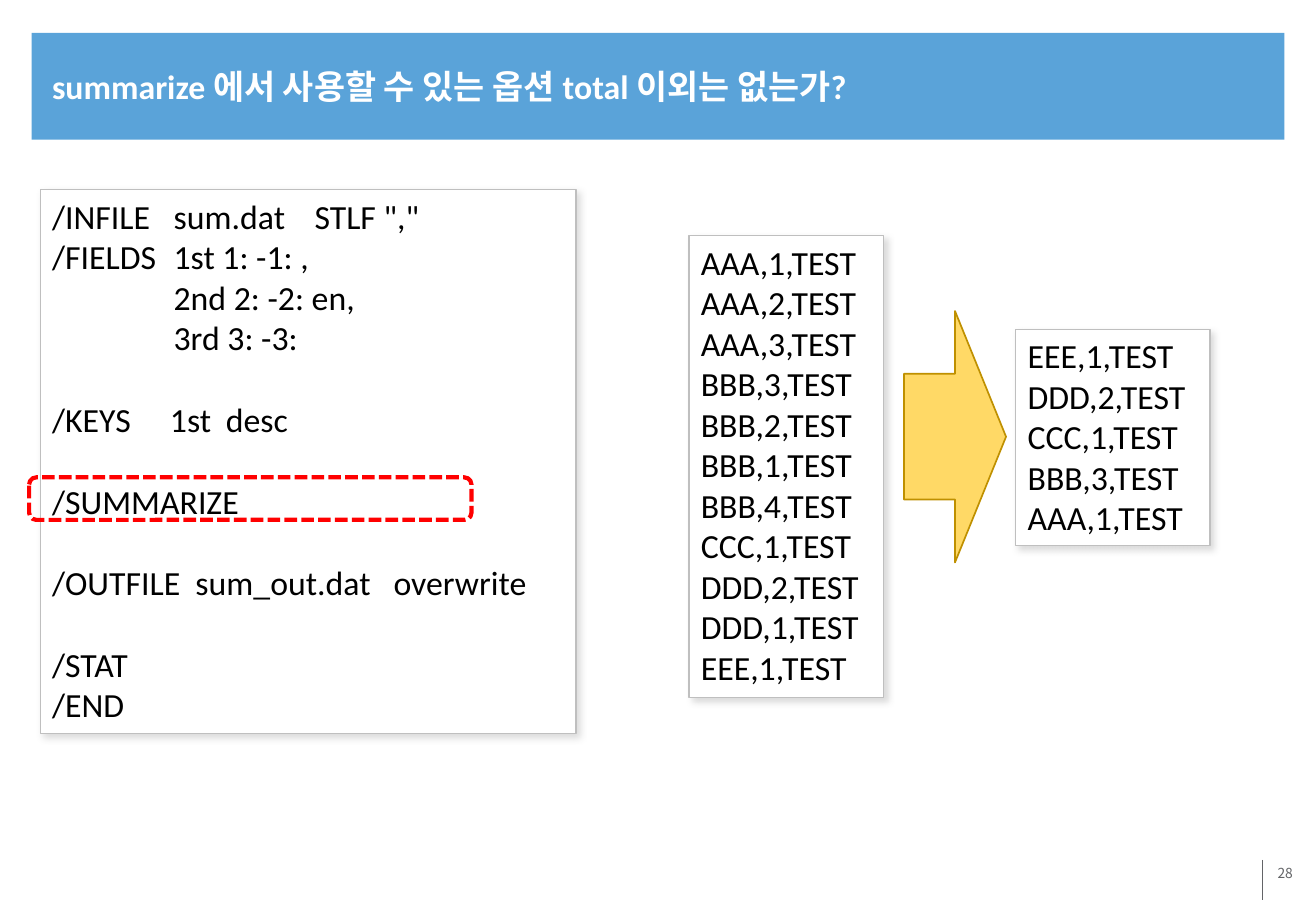
from lxml import etree
from pptx import Presentation
from pptx import util as u
from pptx.dml.color import RGBColor
from pptx.enum import dml, shapes, text
from pptx.oxml.ns import qn

WHITE = RGBColor(0xFF, 0xFF, 0xFF)
BLACK = RGBColor(0, 0, 0)
BLUE = RGBColor(0x5A, 0xA3, 0xD9)
GRAY = RGBColor(0x63, 0x64, 0x67)
EDGE = RGBColor(0xBF, 0xBF, 0xBF)
RED = RGBColor(0xFF, 0, 0)
GOLD = RGBColor(0xFF, 0xD9, 0x66)
OCHRE = RGBColor(0xBF, 0x90, 0)
LATIN = "Calibri"
HANGUL = "Noto Sans CJK KR"
KIND = shapes.MSO_SHAPE
ROW = 24.4

CODE = [
    (0, '/INFILE\tsum.dat\tSTLF ","', (1, 2.16)),
    (0, "/FIELDS\t1st 1: -1: ,", (1,)),
    (0, "\t2nd 2: -2: en,", (1,)),
    (0, "\t3rd 3: -3:", (1,)),
    (1, "/KEYS\t1st\tdesc", (0.97, 1.43)),
    (1, "/SUMMARIZE", ()),
    (1, "/OUTFILE\tsum_out.dat\toverwrite", (1.18, 2.81)),
    (1, "/STAT", ()),
    (0, "/END", ()),
]
INPUT = ["AAA,1", "AAA,2", "AAA,3", "BBB,3", "BBB,2", "BBB,1",
         "BBB,4", "CCC,1", "DDD,2", "DDD,1", "EEE,1"]
RESULT = ["EEE,1", "DDD,2", "CCC,1", "BBB,3", "AAA,1"]


def part(box, left, top, width, height):
    x, y, w, h = box
    return (int(x + w * left / 100), int(y + h * top / 100),
            int(w * width / 100), int(h * height / 100))


def write(para, words, size=20, color=BLACK, bold=False, name=LATIN):
    run = para.add_run()
    run.text = words
    font = run.font
    font.size, font.bold, font.name = u.Pt(size), bold, name
    font.color.rgb = color
    etree.SubElement(run._r.get_or_add_rPr(), qn("a:ea"), typeface=HANGUL)


def draw(slide, kind, box, fill=None, line=None, width=0.75):
    item = slide.shapes.add_shape(kind, *box)
    item.shadow.inherit = False
    if fill is None:
        item.fill.background()
    else:
        item.fill.solid()
        item.fill.fore_color.rgb = fill
    if line is None:
        item.line.fill.background()
    else:
        item.line.color.rgb = line
        item.line.width = u.Pt(width)
    return item


def shade(item):
    effects = item._element.spPr.find(qn("a:effectLst"))
    outer = etree.SubElement(effects, qn("a:outerShdw"), blurRad=str(u.Pt(4)),
                             dist=str(u.Pt(3)), dir="2700000", algn="tl", rotWithShape="0")
    color = etree.SubElement(outer, qn("a:srgbClr"), val="A6A6A6")
    etree.SubElement(color, qn("a:alpha"), val="40000")


def panel(slide, box, lines):
    item = draw(slide, KIND.RECTANGLE, box, WHITE, EDGE)
    shade(item)
    frame = item.text_frame
    frame.word_wrap = True
    frame.vertical_anchor = text.MSO_ANCHOR.TOP
    for i, (gap, words, stops) in enumerate(lines):
        para = frame.add_paragraph() if i else frame.paragraphs[0]
        para.alignment = text.PP_ALIGN.LEFT
        para.space_before = u.Pt(gap * ROW)
        if stops:
            tabs = etree.SubElement(para._p.get_or_add_pPr(), qn("a:tabLst"))
            for stop in stops:
                etree.SubElement(tabs, qn("a:tab"), pos=str(u.Inches(stop)), algn="l")
        write(para, words)


def header(slide, box):
    draw(slide, KIND.RECTANGLE, box, BLUE)
    title = slide.shapes.add_textbox(*part(box, 0.68, 5.06, 98.93, 89.77))
    frame = title.text_frame
    frame.word_wrap = True
    frame.vertical_anchor = text.MSO_ANCHOR.MIDDLE
    write(frame.paragraphs[0], "summarize 에서 사용할 수 있는 옵션 total 이외는 없는가?",
          color=WHITE, bold=True)


def script(slide, box):
    panel(slide, box, CODE)
    mark = draw(slide, KIND.ROUNDED_RECTANGLE, part(box, -2.04, 52.9, 82.54, 7.81),
                line=RED, width=2.5)
    mark.line.dash_style = dml.MSO_LINE.SQUARE_DOT


def flow(slide, box):
    for data, spot in ((INPUT, (0, 0, 37.3, 100)), (RESULT, (62.7, 20.26, 37.3, 46.84))):
        panel(slide, part(box, *spot), [(0, f"{row},TEST", ()) for row in data])
    draw(slide, KIND.RIGHT_ARROW, part(box, 41.26, 16.32, 19.58, 54.47), GOLD, OCHRE, 1)


def footer(slide, box):
    frame = slide.shapes.add_textbox(*box).text_frame
    frame.word_wrap = True
    frame.margin_left = frame.margin_right = u.Inches(0.07)
    frame.margin_top = frame.margin_bottom = u.Inches(0.04)
    para = frame.paragraphs[0]
    para.alignment = text.PP_ALIGN.RIGHT
    write(para, "28", 8.2, GRAY, name=HANGUL)
    x, y, _, high = part(box, 82.51, 0, 0, 66)
    rule = slide.shapes.add_connector(shapes.MSO_CONNECTOR.STRAIGHT, x, y, x, y + high)
    rule.line.color.rgb = GRAY
    rule.line.width = u.Pt(0.75)
    etree.SubElement(rule._element.spPr, qn("a:effectLst"))


def main():
    deck = Presentation()
    deck.slide_width, deck.slide_height = u.Inches(10.83), u.Inches(7.5)
    slide = deck.slides.add_slide(deck.slide_layouts[6])
    page = (0, 0, deck.slide_width, deck.slide_height)
    header(slide, part(page, 2.4, 3.6, 95.2, 11.73))
    script(slide, part(page, 3.05, 20.8, 40.72, 59.73))
    flow(slide, part(page, 52.35, 25.87, 39.61, 50.67))
    footer(slide, part(page, 81.99, 94.4, 16.9, 6.67))
    deck.save("out.pptx")


if __name__ == "__main__":
    main()
